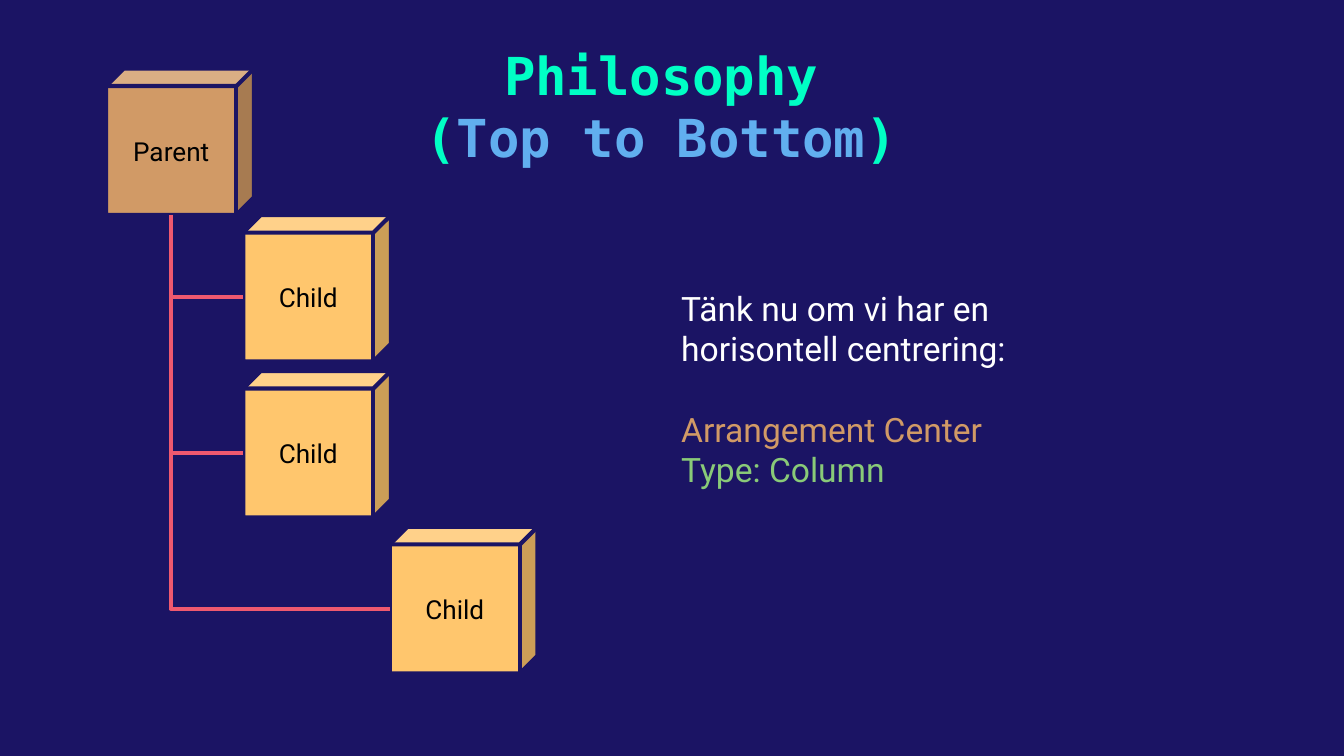
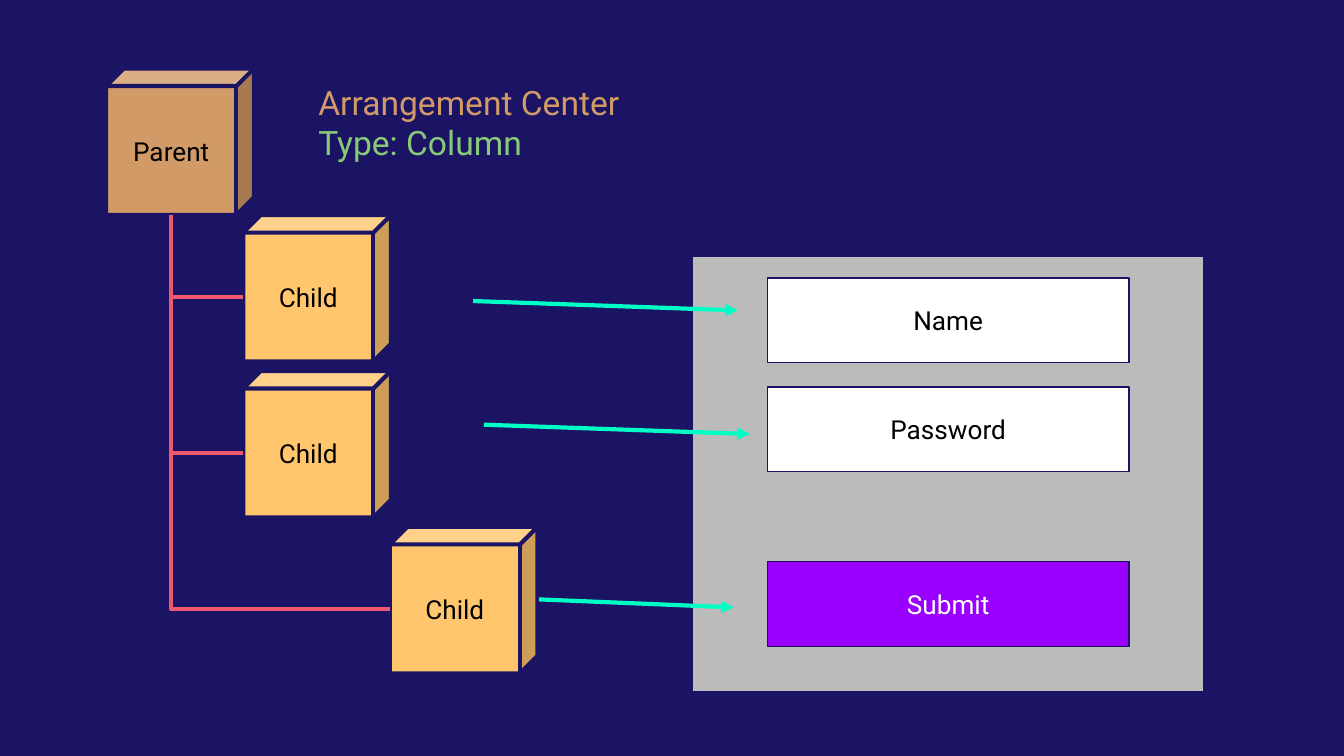
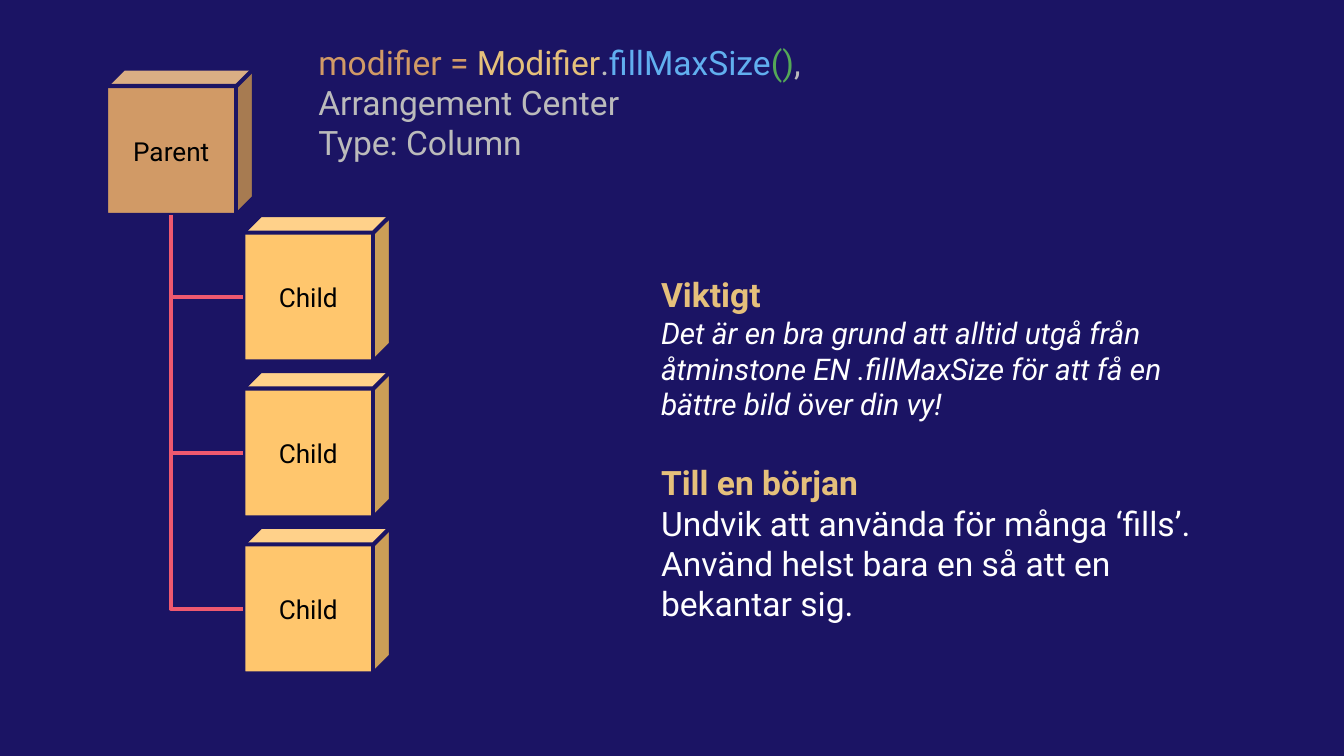
from dataclasses import dataclass

from lxml import etree
from pptx import Presentation
from pptx.dml.color import RGBColor
from pptx.enum.shapes import MSO_CONNECTOR, MSO_SHAPE
from pptx.enum.text import MSO_ANCHOR, PP_ALIGN
from pptx.oxml.ns import qn
from pptx.util import Inches, Pt

CUBE, RECT = MSO_SHAPE.CUBE, MSO_SHAPE.RECTANGLE
STRAIGHT, ELBOW = MSO_CONNECTOR.STRAIGHT, MSO_CONNECTOR.ELBOW
LEFT, CENTER = PP_ALIGN.LEFT, PP_ALIGN.CENTER
MIDDLE = MSO_ANCHOR.MIDDLE


@dataclass(frozen=True)
class Theme:
    navy: str = "1B1464"
    mint: str = "00FFC5"
    blue: str = "61AFEF"
    tan: str = "D19A66"
    amber: str = "FFC66D"
    sand: str = "E5C07B"
    coral: str = "EF596F"
    green: str = "89CA78"
    paren_green: str = "54A857"
    purple: str = "9900FF"
    grey: str = "BBBBBB"
    white: str = "FFFFFF"
    black: str = "000000"
    title_font: str = "DejaVu Sans Mono"
    body_font: str = "Roboto"
    title_size: float = 28
    body_size: float = 18
    note_size: float = 16
    label_size: float = 14
    heavy: float = 2.25
    thin: float = 0.75
    section_gap: float = 21.6


T = Theme()
ARRANGEMENT, COLUMN = "Arrangement Center", "Type: Column"
CUBE_W, CUBE_H = 1.1, 1.09
TREE_AT = (0.79, 0.51)


def rgb(value):
    return RGBColor.from_string(value)


def write(p, runs, size=T.body_size, font=T.body_font, bold=False,
          italic=False, align=LEFT, before=0):
    """Fill a paragraph with (text, colour) runs."""
    p.alignment = align
    p.space_before = Pt(before)
    p.font.name, p.font.size = font, Pt(size)
    p.font.bold, p.font.italic = bold, italic
    for text, color in runs:
        r = p.add_run()
        r.text = text
        r.font.color.rgb = rgb(color)


def add_text(s, box, paragraphs):
    """Add a text box; each paragraph is (runs, options of write)."""
    tf = s.shapes.add_textbox(*map(Inches, box)).text_frame
    tf.word_wrap = True
    set_insets(tf)
    for i, (runs, options) in enumerate(paragraphs):
        p = tf.add_paragraph() if i else tf.paragraphs[0]
        write(p, runs, **options)


def set_insets(tf):
    tf.margin_left = tf.margin_right = Inches(0.1)
    tf.margin_top = tf.margin_bottom = Inches(0.1)


def add_block(shapes, kind, box, fill, width, label="", color=T.black):
    sp = shapes.add_shape(kind, *map(Inches, box))
    sp.shadow.inherit = False
    sp.fill.solid()
    sp.fill.fore_color.rgb = rgb(fill)
    sp.line.color.rgb = rgb(T.navy)
    sp.line.width = Pt(width)
    if label:
        tf = sp.text_frame
        tf.word_wrap = True
        tf.vertical_anchor = MIDDLE
        set_insets(tf)
        write(tf.paragraphs[0], [(label, color)], T.label_size, align=CENTER)
    return sp


def add_line(shapes, kind, start, end, color):
    line = shapes.add_connector(kind, *map(Inches, (*start, *end)))
    line.line.color.rgb = rgb(color)
    line.line.width = Pt(T.heavy)
    etree.SubElement(line._element.spPr, qn("a:effectLst"))
    return line


def add_branch(shapes, x1, y1, x2, y2):
    """Draw an elbow that goes down from the first point, then right."""
    run, drop = x2 - x1, y2 - y1
    mid_x, mid_y = (x1 + x2) / 2, (y1 + y2) / 2
    # The unrotated frame is turned 270 degrees about its centre.
    line = add_line(shapes, ELBOW, (mid_x + drop / 2, mid_y - run / 2),
                    (mid_x - drop / 2, mid_y + run / 2), T.coral)
    spPr = line._element.spPr
    spPr.find(qn("a:xfrm")).set("rot", str(270 * 60000))
    spPr.find(qn("a:prstGeom")).set("prst", "bentConnector2")


def add_arrow(s, start, end):
    line = add_line(s.shapes, STRAIGHT, start, end, T.mint)
    ln = line._element.spPr.find(qn("a:ln"))
    etree.SubElement(ln, qn("a:tailEnd"), type="triangle")


def add_cube(shapes, x, y, fill, label):
    cube = add_block(shapes, CUBE, (x, y, CUBE_W, CUBE_H), fill, T.heavy, label)
    cube.adjustments[0] = 0.12


def add_tree(shapes, at, last_indent=1.02):
    """Draw a parent cube with three children below it."""
    x, y = at
    first_y, step = y + CUBE_H, 1.16
    children = [(x + indent, first_y + i * step)
                for i, indent in enumerate((1.02, 1.02, last_indent))]
    add_cube(shapes, x, y, T.tan, "Parent")
    for child_x, child_y in children:
        add_cube(shapes, child_x, child_y, T.amber, "Child")
    for child_x, child_y in children:
        add_branch(shapes, x + 0.48, first_y, child_x, child_y + 0.61)


def add_form(s, box):
    x, y, _, _ = box
    add_block(s.shapes, RECT, box, T.grey, T.thin)
    for label, top, fill, color in (("Name", 0.16, T.white, T.black),
                                    ("Password", 0.97, T.white, T.black),
                                    ("Submit", 2.27, T.purple, T.white)):
        add_block(s.shapes, RECT, (x + 0.56, y + top, 2.69, 0.63),
                  fill, T.thin, label, color)


def new_slide(prs):
    return prs.slides.add_slide(prs.slide_layouts[6])


def philosophy_slide(prs):
    s = new_slide(prs)
    title = dict(size=T.title_size, font=T.title_font, bold=True, align=CENTER)
    add_text(s, (2.9, 0.22, 4.04, 0.73), [
        ([("Philosophy", T.mint)], title),
        ([("(", T.mint), ("Top to Bottom", T.blue), (")", T.mint)], title),
    ])
    add_tree(s.shapes, TREE_AT, last_indent=2.11)
    add_text(s, (4.97, 2.04, 3.45, 1.81), [
        ([("Tänk nu om vi har en horisontell centrering:", T.white)], {}),
        ([(ARRANGEMENT, T.tan)], dict(before=T.section_gap)),
        ([(COLUMN, T.green)], {}),
    ])


def form_slide(prs):
    s = new_slide(prs)
    add_tree(s.shapes.add_group_shape().shapes, TREE_AT, last_indent=2.11)
    add_form(s, (5.15, 1.91, 3.81, 3.24))
    for start, end in (((3.52, 2.24), (5.49, 2.31)),
                       ((3.6, 3.16), (5.58, 3.23)),
                       ((4.01, 4.46), (5.46, 4.52))):
        add_arrow(s, start, end)
    add_text(s, (2.27, 0.51, 3.45, 1.51), [
        ([(ARRANGEMENT, T.tan)], {}),
        ([(COLUMN, T.green)], {}),
    ])


def modifier_slide(prs):
    s = new_slide(prs)
    add_tree(s.shapes.add_group_shape().shapes, TREE_AT)
    add_text(s, (2.27, 0.21, 4.33, 1.81), [
        ([("modifier = ", T.tan), ("Modifier", T.sand), (".", T.grey),
          ("fillMaxSize", T.blue), ("()", T.paren_green), (",", T.grey)], {}),
        ([(ARRANGEMENT, T.grey)], {}),
        ([(COLUMN, T.grey)], {}),
    ])
    add_text(s, (4.82, 1.94, 4.39, 2.97), [
        ([("Viktigt", T.sand)], dict(bold=True)),
        ([("Det är en bra grund att alltid utgå från åtminstone EN "
           ".fillMaxSize för att få en bättre bild över din vy!", T.white)],
         dict(size=T.note_size, italic=True)),
        ([("Till en början", T.sand)], dict(bold=True, before=T.section_gap)),
        ([("Undvik att använda för många ‘fills’. Använd helst bara en "
           "så att en bekantar sig.", T.white)], {}),
    ])


def main():
    prs = Presentation()
    prs.slide_width = Inches(10)
    prs.slide_height = prs.slide_width * 9 // 16
    fill = prs.slide_master.background.fill
    fill.solid()
    fill.fore_color.rgb = rgb(T.navy)
    philosophy_slide(prs)
    form_slide(prs)
    modifier_slide(prs)
    prs.save("out.pptx")


if __name__ == "__main__":
    main()
